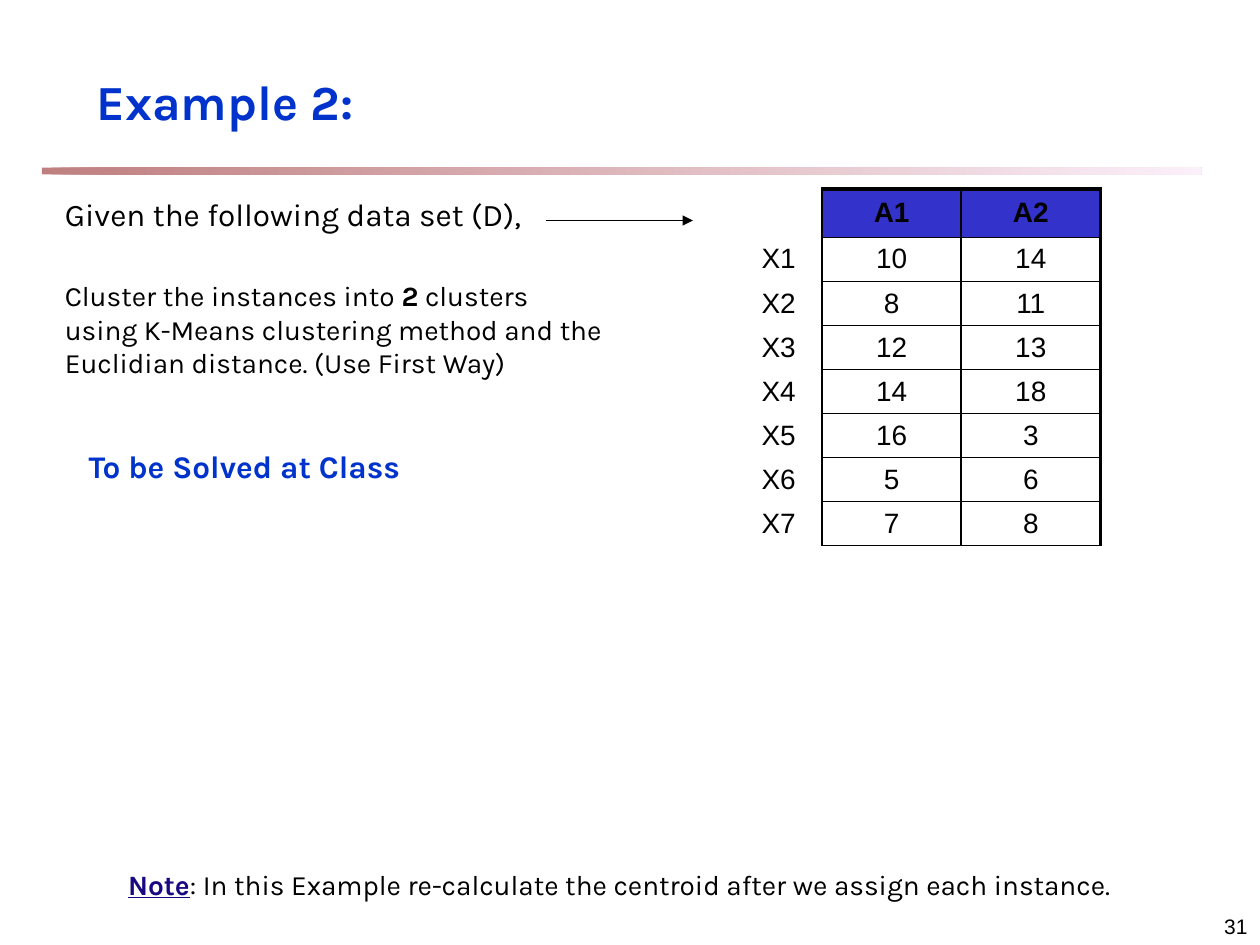
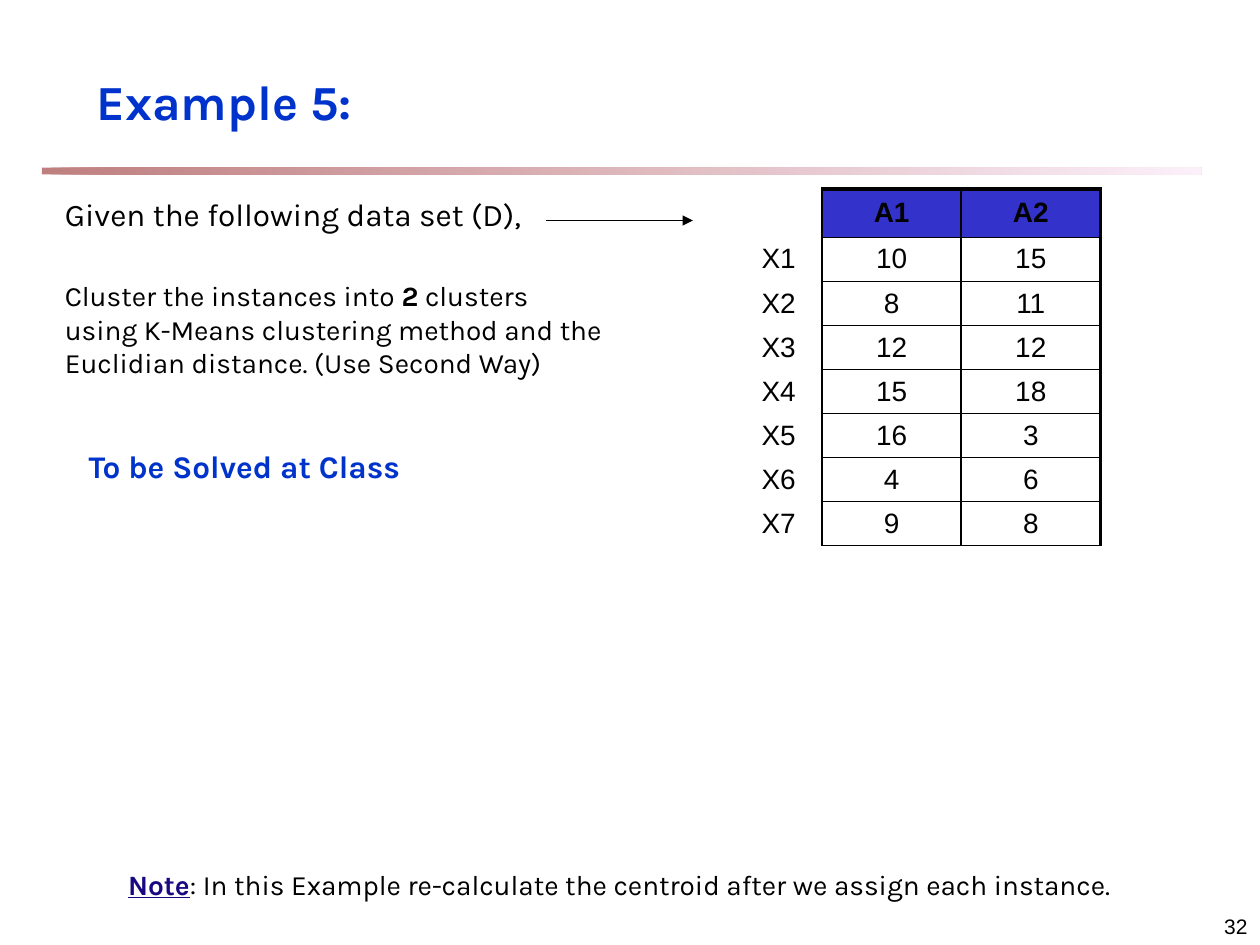
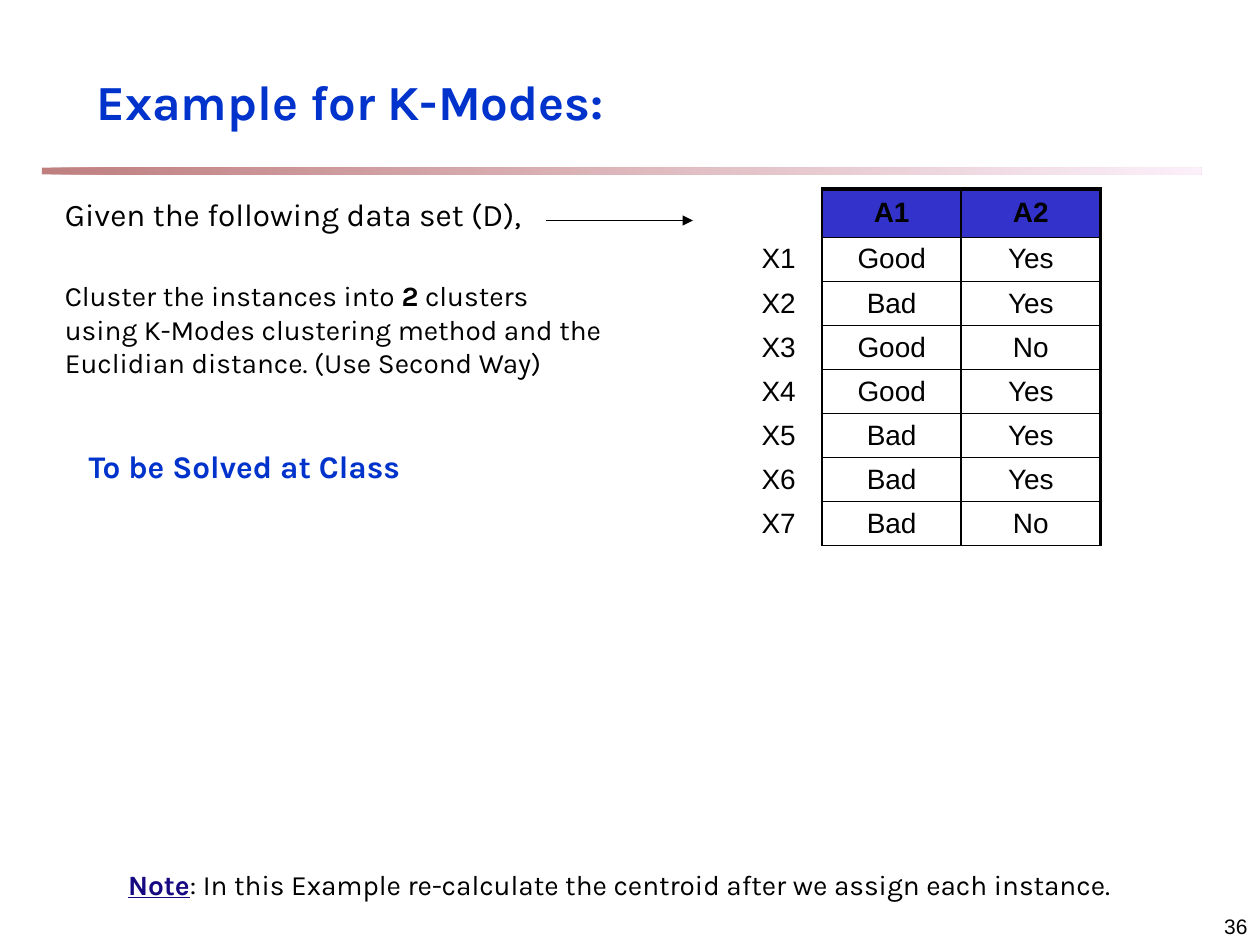
from lxml import etree
from pptx import Presentation
from pptx import util as u
from pptx.dml.color import RGBColor
from pptx.enum import shapes, text
from pptx.oxml import ns

Pt = u.Pt
HUES = {"title": "0033CC", "head": "3333CC", "note": "170981",
        "ink": "000000", "dark": "800000", "pale": "FAE2F6"}
FACE, PLAIN = "Karla", "Arial"
LEFT, MID, RIGHT = text.PP_ALIGN.LEFT, text.PP_ALIGN.CENTER, text.PP_ALIGN.RIGHT

# Number, title, method, way and the rows of the data set
PAGES = [
    ("31", "Example 2:", "K-Means", "First",
     [("10", "14"), ("8", "11"), ("12", "13"), ("14", "18"),
      ("16", "3"), ("5", "6"), ("7", "8")]),
    ("32", "Example 5:", "K-Means", "Second",
     [("10", "15"), ("8", "11"), ("12", "12"), ("15", "18"),
      ("16", "3"), ("4", "6"), ("9", "8")]),
    ("36", "Example for K-Modes:", "K-Modes", "Second",
     [("Good", "Yes"), ("Bad", "Yes"), ("Good", "No"), ("Good", "Yes"),
      ("Bad", "Yes"), ("Bad", "Yes"), ("Bad", "No")]),
]


def write(para, parts, size, face=FACE, align=LEFT):
    """Fill a paragraph with (words, hue, bold) parts."""
    para.alignment = align
    for words, hue, bold in parts:
        run = para.add_run()
        run.text = words
        run.font.size, run.font.name, run.font.bold = Pt(size), face, bold
        run.font.color.rgb = RGBColor.from_string(HUES[hue])


def add(node, tag, **attrs):
    return etree.SubElement(node, ns.qn(tag), attrs)


deck = Presentation()
deck.slide_width, deck.slide_height = Pt(720), Pt(540)
plan = deck.slide_layouts[5]

for num, name, method, way, data in PAGES:
    slide = deck.slides.add_slide(plan)
    items = slide.shapes

    # Shared band, placed on the layout once
    if num == PAGES[0][0]:
        band = items.add_shape(shapes.MSO_SHAPE.RECTANGLE,
                               Pt(24), Pt(95.8), Pt(662.4), Pt(3.9))
        band.shadow.inherit = False
        band.line.fill.background()
        band.fill.gradient()
        band.fill.gradient_angle = 0
        for stop, hue, pos in zip(band.fill.gradient_stops, ("dark", "pale"), (0, 1)):
            stop.color.rgb = RGBColor.from_string(HUES[hue])
            stop.position = pos
        for tint in band.element.spPr.iter(ns.qn("a:srgbClr")):
            add(tint, "a:alpha", val="50000")
        plan.placeholders[0].element.getparent().append(band.element)

    # Title
    title = items.title
    title.left, title.top, title.width, title.height = Pt(48), Pt(30), Pt(613.5), Pt(48)
    frame = title.text_frame
    frame.auto_size = text.MSO_AUTO_SIZE.NONE
    frame.vertical_anchor = text.MSO_ANCHOR.BOTTOM
    write(frame.paragraphs[0], [(name, "title", True)], 28)

    # Page number
    frame = items.add_textbox(Pt(570), Pt(510), Pt(150), Pt(30)).text_frame
    frame.word_wrap = True
    frame.vertical_anchor = text.MSO_ANCHOR.BOTTOM
    write(frame.paragraphs[0], [(num, "ink", False)], 12, PLAIN, RIGHT)

    # Task
    frame = items.add_textbox(Pt(30), Pt(108), Pt(324), Pt(138)).text_frame
    frame.word_wrap = True
    write(frame.paragraphs[0], [("Given the following data set (D),", "ink", False)], 18)
    task = frame.add_paragraph()
    task.space_before = Pt(26)
    write(task, [
        ("Cluster the instances into ", "ink", False),
        ("2", "ink", True),
        (f" clusters using {method} clustering method and the Euclidian distance. "
         f"(Use {way} Way)", "ink", False)], 16)

    # Data set
    rows = [("", "A1", "A2")] + [(f"X{i}", *pair) for i, pair in enumerate(data, 1)]
    grid = items.add_table(len(rows), 3, Pt(420), Pt(108),
                           Pt(208.8), Pt(25.05 * len(rows))).table
    grid.first_row = grid.horz_banding = False
    for col, wide in zip(grid.columns, (49.8, 79.5, 79.5)):
        col.width = Pt(wide)
    for r, row in enumerate(rows):
        grid.rows[r].height = Pt(25.05)
        for c, words in enumerate(row):
            cell = grid.cell(r, c)
            cell.margin_top = cell.margin_bottom = Pt(3)
            cell.vertical_anchor = text.MSO_ANCHOR.MIDDLE
            props = cell._tc.get_or_add_tcPr()
            for side in "LRTB":
                thick = (side == "T" and r == 0) or (side == "R" and c == 2)
                edge = add(props, f"a:ln{side}", w=str(Pt(2.25 if thick else 1)))
                if c or side == "R":
                    add(add(edge, "a:solidFill"), "a:srgbClr", val=HUES["ink"])
                else:
                    add(edge, "a:noFill")
            if r == 0 and c:
                cell.fill.solid()
                cell.fill.fore_color.rgb = RGBColor.from_string(HUES["head"])
            else:
                cell.fill.background()
            if words:
                write(cell.text_frame.paragraphs[0], [(words, "ink", r == 0)],
                      16, PLAIN, MID)

    # Call to solve
    frame = items.add_textbox(Pt(36), Pt(252), Pt(207.5), Pt(29)).text_frame
    frame.word_wrap = False
    frame.auto_size = text.MSO_AUTO_SIZE.SHAPE_TO_FIT_TEXT
    write(frame.paragraphs[0], [("To be Solved at Class", "title", True)], 18, align=MID)

    # Arrow to the data set
    arrow = items.add_connector(shapes.MSO_CONNECTOR.STRAIGHT,
                                Pt(312), Pt(126), Pt(396), Pt(126))
    arrow.line.width = Pt(0.75)
    arrow.line.color.rgb = RGBColor.from_string(HUES["ink"])
    add(arrow.line._get_or_add_ln(), "a:tailEnd", type="triangle")
    add(arrow.element.spPr, "a:effectLst")

    # Note
    frame = items.add_textbox(Pt(54), Pt(492), Pt(600), Pt(26.6)).text_frame
    frame.word_wrap = True
    frame.auto_size = text.MSO_AUTO_SIZE.SHAPE_TO_FIT_TEXT
    note = frame.paragraphs[0]
    write(note, [("Note", "note", True),
                 (": In this Example re-calculate the centroid after we assign "
                  "each instance.", "ink", False)], 16, align=MID)
    note.runs[0].font.underline = True

deck.save("out.pptx")
